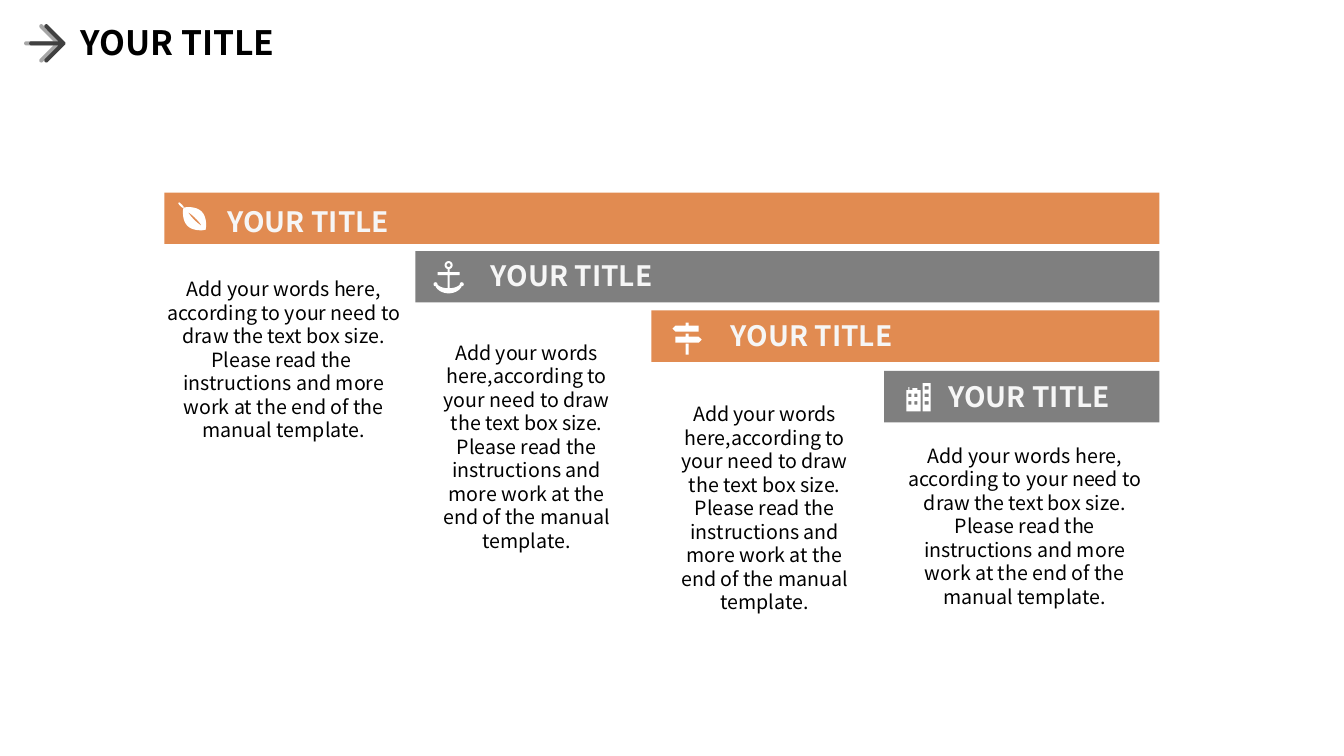
"""Build a slide with four stepped title bars, their icons and descriptions."""
from math import cos, pi, radians, sin, sqrt

from pptx import Presentation
from pptx.dml.color import RGBColor
from pptx.enum.shapes import MSO_SHAPE as Preset
from pptx.enum.text import MSO_ANCHOR as Anchor, MSO_AUTO_SIZE as AutoSize, PP_ALIGN as Align
from pptx.util import Inches, Pt

FONT = "Noto Sans CJK SC"
ORANGE, GRAY, WHITE, BLACK, OFF_WHITE = "E18B51", "7F7F7F", "FFFFFF", "000000", "F6F6F6"
LIGHT_ARROW, DARK_ARROW = "A6A6A6", "404040"


def paint(fill, color):
    fill.solid()
    fill.fore_color.rgb = RGBColor.from_string(color)


def arc(center_x, center_y, radius_x, radius_y, start, end, steps=16):
    angles = [radians(start + (end - start) * step / steps) for step in range(steps + 1)]
    return [(center_x + radius_x * cos(a), center_y + radius_y * sin(a)) for a in angles]


presentation = Presentation()
presentation.slide_width = Inches(13.33)
presentation.slide_height = Inches(7.5)
slide = presentation.slides.add_slide(presentation.slide_layouts[5])
shapes = slide.shapes

title = shapes.title
title.left, title.top, title.width, title.height = map(Inches, (0.7, 0.17, 3, 0.5))
texts = [(title, "YOUR TITLE", 24, BLACK, True, Align.LEFT, True)]

opening = "Add your words here,"
middle = "according to your need to draw the text box size."
request = "Please read the "
closing = "instructions and more work at the end of the manual template."
two_parts = f"{opening}{middle}\n{request}{closing}"
three_parts = f"{opening}\n{middle}\n{request}{closing}"
four_parts = f"{opening}\n{middle}\n{request}\n{closing}"

# Each step: bar left and top, colour, heading corner, body box, body text
bar_right, bar_height = 11.5, 0.51
steps = [
    (1.63, 1.91, ORANGE, (2.16, 1.98), (1.53, 2.7, 2.57, 1.75), four_parts),
    (4.12, 2.49, GRAY, (4.77, 2.52), (4.16, 3.33, 2.13, 2.22), two_parts),
    (6.46, 3.08, ORANGE, (7.15, 3.11), (6.52, 3.94, 2.13, 2.22), two_parts),
    (8.77, 3.68, GRAY, (9.31, 3.72), (8.82, 4.35, 2.69, 1.75), three_parts),
]
sign_post = (6.8, 3.41, 0.03, 0.11, WHITE)
bars = [(left, top, bar_right - left, bar_height, color) for left, top, color, *_ in steps]
for *box, color in [*bars, sign_post]:
    block = shapes.add_shape(Preset.RECTANGLE, *map(Inches, box))
    block.shadow.inherit = False
    paint(block.fill, color)
    block.line.fill.background()

for _, _, _, heading_corner, body_box, body_text in steps:
    heading = shapes.add_textbox(*map(Inches, (*heading_corner, 1.85, 0.44)))
    texts.append((heading, "YOUR TITLE", 20, OFF_WHITE, True, Align.LEFT, False))
    body = shapes.add_textbox(*map(Inches, body_box))
    texts.append((body, body_text, 14, BLACK, False, Align.CENTER, True))

for shape, text, size, color, bold, align, wrap in texts:
    frame = shape.text_frame
    frame.text = text
    frame.word_wrap = wrap
    frame.auto_size = AutoSize.SHAPE_TO_FIT_TEXT
    frame.vertical_anchor = Anchor.TOP
    for paragraph in frame.paragraphs:
        paragraph.alignment = align
        for run in paragraph.runs:
            run.font.name = FONT
            run.font.size = Pt(size)
            run.font.bold = bold
            paint(run.font.fill, color)

icons = []

arrow_axis = 0.43
for color, shift in [(LIGHT_ARROW, 0), (DARK_ARROW, 0.05)]:
    tail = arc(shift + 0.26, arrow_axis, 0.02, 0.02, 180, 270)
    inner_corner = (shift + 0.53, arrow_axis - 0.02)
    barb = arc(shift + 0.41, arrow_axis - 0.17, 0.02, 0.02, 135, 315)
    tip = arc(shift + 0.58, arrow_axis, 0.02, 0.02, 315, 360)
    upper_half = [*tail, inner_corner, *barb, *tip]
    lower_half = [(x, 2 * arrow_axis - y) for x, y in reversed(upper_half)]
    icons.append((color, [upper_half + lower_half], []))

leaf_x, leaf_y = 1.82, 2.06
leaf_outlines = []
for start, end, half_width, bluntness in [
    (0, 0.31, 0.1, 0.8), (-0.07, 0, 0.01, 0.2), (0.06, 0.26, 0.01, 0.8),
]:
    blade = []
    for side, order in [(1, range(17)), (-1, range(16, -1, -1))]:
        for step in order:
            along = start + (end - start) * step / 16
            across = side * half_width * abs(sin(pi * step / 16)) ** bluntness
            blade.append((leaf_x + (along + across) / sqrt(2), leaf_y + (along - across) / sqrt(2)))
    leaf_outlines.append(blade)
icons.append((WHITE, leaf_outlines, []))

anchor_x, ring_y, fluke_y = 4.45, 2.63, 2.8
ring = [arc(anchor_x, ring_y, radius, radius, 0, 360) for radius in (0.04, 0.02)]
crescent = arc(anchor_x, fluke_y, 0.14, 0.11, 25, 155) + arc(anchor_x, fluke_y, 0.12, 0.06, 155, 25)
fluke_tips = [arc(anchor_x + side * 0.13, 2.82, 0.02, 0.02, 0, 360) for side in (-1, 1)]
shank = (anchor_x - 0.01, 2.67, anchor_x + 0.01, 2.86)
crossbars = [(anchor_x - 0.11, 2.7, shank[0], 2.73), (shank[2], 2.7, anchor_x + 0.11, 2.73)]
icons.append((WHITE, [*ring, crescent, *fluke_tips], [shank, *crossbars]))

post_x = 6.815
for direction, board_top in [(-1, 3.23), (1, 3.34)]:
    board_bottom = board_top + 0.06
    back, front, point = [post_x + direction * reach for reach in (-0.115, 0.115, 0.145)]
    board = [(back, board_top), (front, board_top), (point, board_top + 0.03),
             (front, board_bottom), (back, board_bottom)]
    peg = (post_x - 0.015, board_top - 0.03, post_x + 0.015, board_top)
    icons.append((WHITE, [board], [peg]))

tower = [(9.15, 3.8, 9.23, 4.08)]
house = [(8.99, 3.87, 9.13, 4.08), (9.01, 3.84, 9.02, 3.87), (9.05, 3.85, 9.1, 3.87)]
for walls, window_lefts, window_width, floors in [
    (tower, [9.17], 0.04, range(3)),
    (house, [9.01, 9.07], 0.03, range(1, 3)),
]:
    windows = [(left, 3.83 + 0.075 * floor, left + window_width, 3.865 + 0.075 * floor)
               for left in window_lefts for floor in floors]
    icons.append((WHITE, [], walls + windows))

for color, outlines, boxes in icons:
    rectangles = [[(left, top), (right, top), (right, bottom), (left, bottom)]
                  for left, top, right, bottom in boxes]
    contours = [[(Inches(x), Inches(y)) for x, y in outline] for outline in outlines + rectangles]
    builder = shapes.build_freeform(*contours[0][0])
    for first, *rest in contours:
        builder.move_to(*first)
        builder.add_line_segments(rest, close=True)
    icon = builder.convert_to_shape()
    icon.shadow.inherit = False
    paint(icon.fill, color)
    icon.line.fill.background()

presentation.save("out.pptx")
